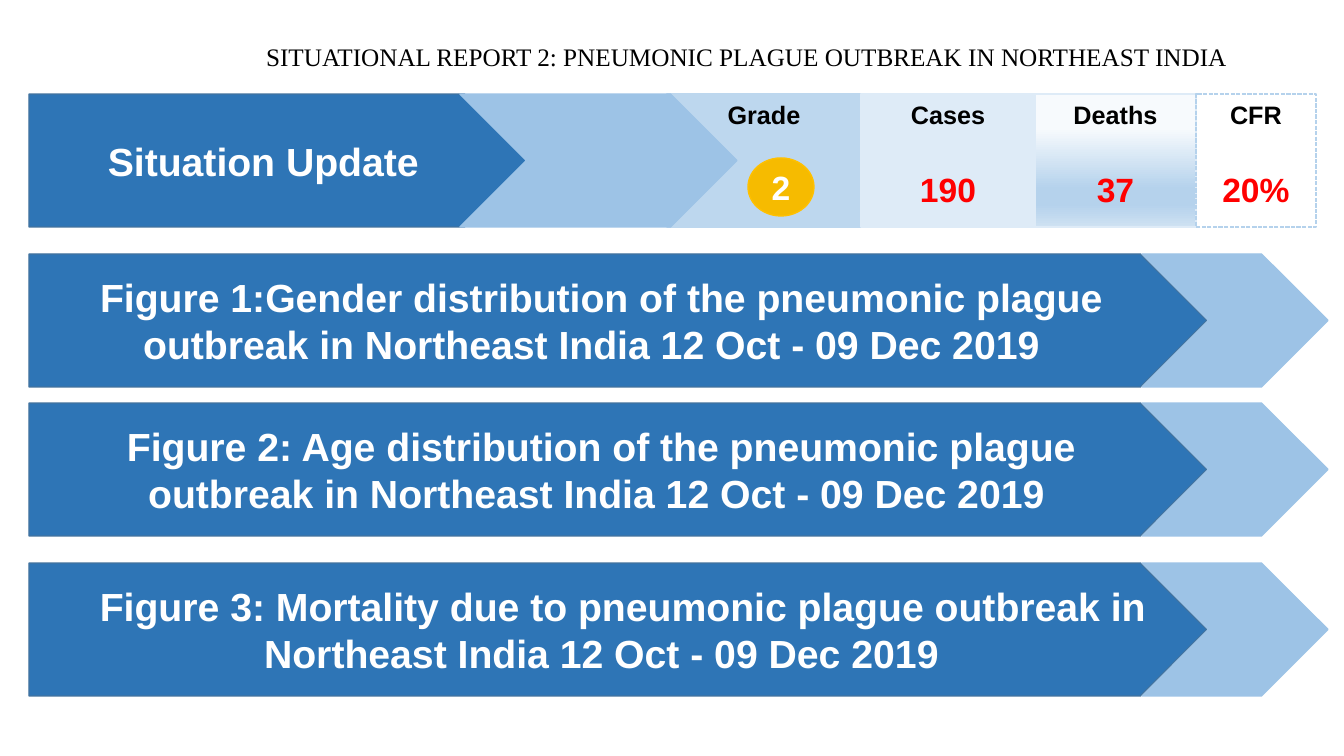
from copy import deepcopy

from pptx import Presentation
from pptx.dml.color import RGBColor
from pptx.enum.dml import MSO_LINE
from pptx.enum.shapes import MSO_SHAPE
from pptx.enum.text import MSO_ANCHOR, PP_ALIGN
from pptx.oxml.ns import qn
from pptx.util import Pt

BLACK = RGBColor(0x00, 0x00, 0x00)
WHITE = RGBColor(0xFF, 0xFF, 0xFF)
RED = RGBColor(0xFF, 0x00, 0x00)
BANNER = RGBColor(0x2E, 0x75, 0xB6)
BANNER_EDGE = RGBColor(0x43, 0x73, 0x9E)
CHEVRON = RGBColor(0x9D, 0xC3, 0xE6)
GRADE = RGBColor(0xBD, 0xD7, 0xEE)
PALE = RGBColor(0xDE, 0xEB, 0xF7)
DASH_EDGE = RGBColor(0xB5, 0xD2, 0xEC)
BADGE = RGBColor(0xF6, 0xBB, 0x00)
BADGE_EDGE = RGBColor(0xFF, 0xC0, 0x00)
DEATHS_FADE = [
    (0.26, RGBColor(0xF7, 0xFA, 0xFD)),
    (0.71, DASH_EDGE),
    (0.83, DASH_EDGE),
    (1.0, RGBColor(0xCE, 0xE1, 0xF2)),
]

HEADLINE = "SITUATIONAL REPORT 2: PNEUMONIC PLAGUE OUTBREAK IN NORTHEAST INDIA"
SECTION = "Situation Update"
GRADE_LEVEL = "2"
METRICS = [
    ("Grade", None, 194, GRADE, GRADE),
    ("Cases", "190", 174, PALE, PALE),
    ("Deaths", "37", 161, DEATHS_FADE, PALE),
    ("CFR", "20%", 120, None, DASH_EDGE),
]
FIGURES = [
    ("Figure 1:Gender distribution of the pneumonic plague outbreak "
     "in Northeast India 12 Oct - 09 Dec 2019", 254, 30, 20),
    ("Figure 2: Age distribution of the pneumonic plague outbreak "
     "in Northeast India 12 Oct - 09 Dec 2019", 403, 20, 10),
    ("Figure 3: Mortality due to pneumonic plague outbreak "
     "in Northeast India 12 Oct - 09 Dec 2019", 563, 10, 43),
]

LEFT = 29
BAND_TOP = 94
BAND_HEIGHT = 133
METRICS_LEFT = 667

BANNER_FONT = {"name": "Arial", "size": Pt(28), "bold": True}
LABEL_FONT = {"name": "Arial", "size": Pt(18), "bold": True}
VALUE_FONT = {"name": "Arial", "size": Pt(24), "bold": True}
HEADLINE_FONT = {"name": "Times New Roman", "size": Pt(18), "bold": False}


def px(length):
    return round(length * 914400 / 100.8)


def set_all(target, values):
    for name, value in values.items():
        setattr(target, name, value)


def write(paragraph, text, font, color, **layout):
    run = paragraph.add_run()
    run.text = text
    set_all(run.font, font)
    run.font.color.rgb = color
    set_all(paragraph, {"alignment": PP_ALIGN.CENTER, **layout})


def fade(shape, stops):
    shape.fill.gradient()
    shape.fill.gradient_angle = 270
    stop_list = shape._element.spPr.find(".//" + qn("a:gsLst"))
    while len(stop_list) < len(stops):
        stop_list.append(deepcopy(stop_list[0]))
    for stop, (position, color) in zip(shape.fill.gradient_stops, stops):
        stop.position = position
        stop.color.rgb = color


def add_block(kind, left, top, width, height, fill, edge):
    shape = slide.shapes.add_shape(kind, px(left), px(top), px(width), px(height))
    shape.shadow.inherit = False
    if fill is None:
        shape.fill.background()
    elif isinstance(fill, list):
        fade(shape, fill)
    else:
        shape.fill.solid()
        shape.fill.fore_color.rgb = fill
    shape.line.color.rgb = edge
    shape.line.width = Pt(1)
    return shape


def add_banner(text, top, width, chevron_left, chevron_width, inset=10, indent=0):
    banner = add_block(MSO_SHAPE.PENTAGON, LEFT, top, width, BAND_HEIGHT, BANNER, BANNER_EDGE)
    set_all(banner.text_frame, {"vertical_anchor": MSO_ANCHOR.MIDDLE,
                                "word_wrap": True, "margin_right": px(inset)})
    paragraph = banner.text_frame.paragraphs[0]
    write(paragraph, text, BANNER_FONT, WHITE)
    if indent:
        paragraph._p.get_or_add_pPr().set("indent", str(px(indent)))
    add_block(MSO_SHAPE.CHEVRON, chevron_left, top, chevron_width, BAND_HEIGHT, CHEVRON, CHEVRON)


deck = Presentation()
set_all(deck, {"slide_width": px(1344), "slide_height": px(756)})
slide = deck.slides.add_slide(deck.slide_layouts[5])

headline = slide.shapes.title
set_all(headline, {"left": px(256), "top": px(36), "width": px(1015), "height": px(40)})
set_all(headline.text_frame, {"vertical_anchor": MSO_ANCHOR.TOP, "word_wrap": False})
write(headline.text_frame.paragraphs[0], HEADLINE, HEADLINE_FONT, BLACK, alignment=PP_ALIGN.LEFT)

metric_left = METRICS_LEFT
for label, value, width, fill, edge in METRICS:
    metric = add_block(MSO_SHAPE.RECTANGLE, metric_left, BAND_TOP, width, BAND_HEIGHT, fill, edge)
    metric.text_frame.vertical_anchor = MSO_ANCHOR.TOP
    write(metric.text_frame.paragraphs[0], label, LABEL_FONT, BLACK)
    if value:
        write(metric.text_frame.add_paragraph(), value, VALUE_FONT, RED, space_before=Pt(28))
    if fill is None:
        metric.line.dash_style = MSO_LINE.SQUARE_DOT
    metric_left += width

add_banner(SECTION, BAND_TOP, 502, 460, 277)

badge = add_block(MSO_SHAPE.OVAL, 748, 158, 66, 58, BADGE, BADGE_EDGE)
badge.text_frame.vertical_anchor = MSO_ANCHOR.MIDDLE
write(badge.text_frame.paragraphs[0], GRADE_LEVEL, VALUE_FONT, WHITE)

for caption, top, inset, indent in FIGURES:
    add_banner(caption, top, 1178, 1142, 186, inset, indent)

deck.save("out.pptx")
